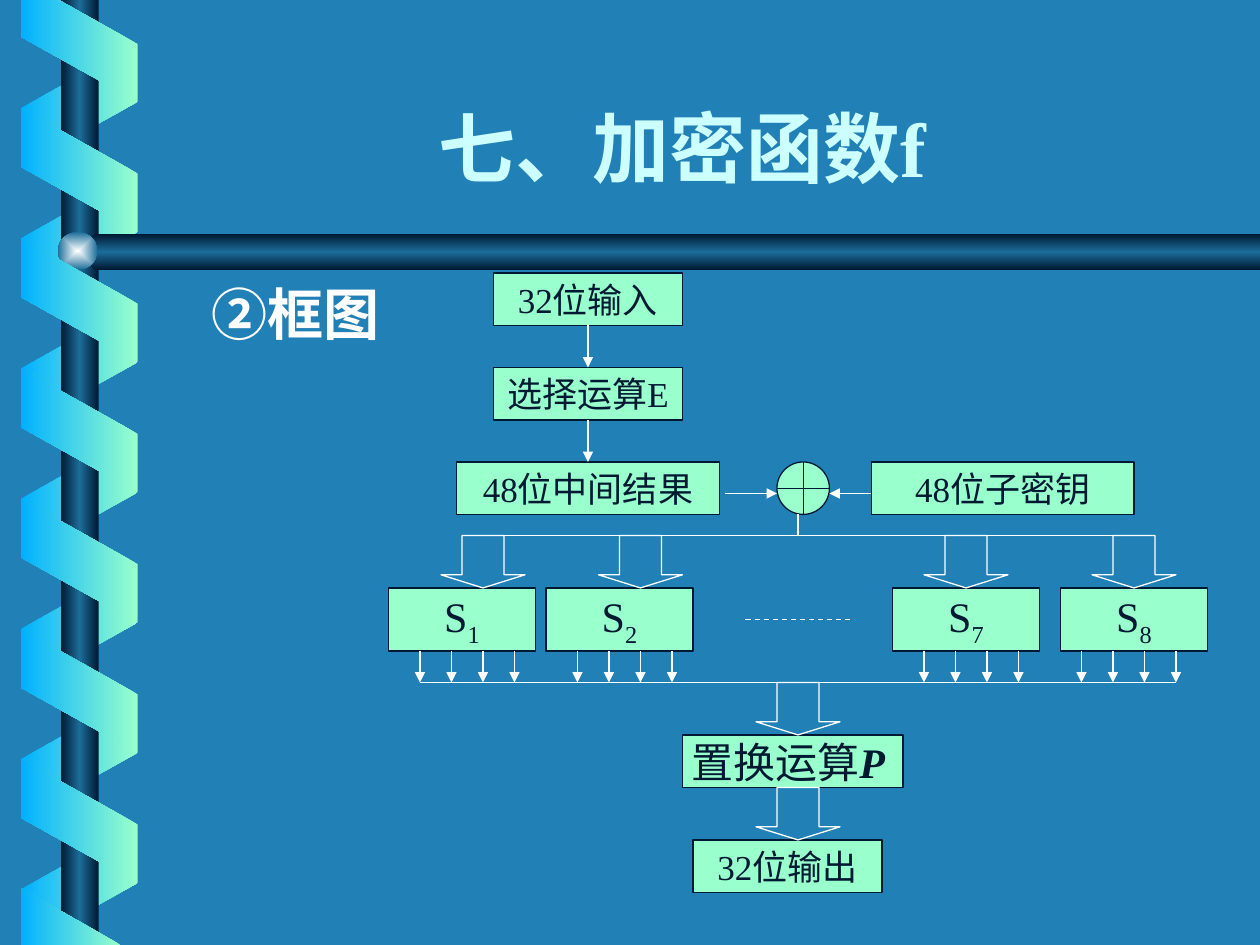
import pptx
import pptx.util
import pptx.oxml
import pptx.oxml.ns
import pptx.dml.color
import pptx.enum.dml
import pptx.enum.shapes
import pptx.enum.text

COLORS = {"ground": "2181B7", "mint": "99FFCC", "sky": "01B0FF", "navy": "001932",
          "steel": "1C6D9A", "title": "CCFFFF", "white": "FFFFFF", "shine": "FEFFFF"}
CELL = pptx.util.Inches(1) / 12  # the slide is a grid of 120 columns by 90 rows
COLUMNS, ROWS = 120, 90
SHAPE = pptx.enum.shapes.MSO_SHAPE
ALIGN = pptx.enum.text.PP_ALIGN
ANCHOR = pptx.enum.text.MSO_ANCHOR
SERIF, SANS = "Times New Roman", "Roboto Condensed"
RIBBON = ["mint", "sky"]
TUBE = ["navy", "steel", "navy"]


def cells(*counts):
    return [round(count * CELL) for count in counts]


def color(name):
    return pptx.dml.color.RGBColor.from_string(COLORS[name])


def apply(target, values):
    for name, value in values.items():
        setattr(target, name, value)


def paint(shape, fill=None, line=None):
    shape.shadow.inherit = False
    if fill:
        shape.fill.solid()
        shape.fill.fore_color.rgb = color(fill)
    else:
        shape.fill.background()
    if line:
        shape.line.color.rgb = color(line)
        shape.line.width = pptx.util.Pt(0.75)
    else:
        shape.line.fill.background()


def shade(shape, names, angle=None):
    """Fill with evenly spaced stops: linear at an angle, or from the centre."""
    paint(shape)
    stops = "".join(
        f'<a:gs pos="{100000 * i // (len(names) - 1)}"><a:srgbClr val="{COLORS[name]}"/></a:gs>'
        for i, name in enumerate(names))
    if angle is None:
        way = '<a:path path="rect"><a:fillToRect l="50000" t="50000" r="50000" b="50000"/></a:path>'
    else:
        way = f'<a:lin ang="{angle * 60000}" scaled="0"/>'
    gradient = pptx.oxml.parse_xml(
        f'<a:gradFill {pptx.oxml.ns.nsdecls("a")} rotWithShape="0">'
        f'<a:gsLst>{stops}</a:gsLst>{way}</a:gradFill>')
    props = shape._element.spPr
    props.replace(props.find(pptx.oxml.ns.qn("a:noFill")), gradient)


def outline(page, points):
    corners = [cells(*point) for point in points]
    builder = page.shapes.build_freeform(*corners[0])
    builder.add_line_segments(corners[1:], close=True)
    return builder.convert_to_shape()


def write(shape, spans, para_format, frame_format):
    """Each span is its text and a dict of font values."""
    frame = shape.text_frame
    apply(frame, frame_format)
    para = frame.paragraphs[0]
    apply(para, para_format)
    for text, values in spans:
        span = para.add_run()
        span.text = text
        font = dict(values)
        span.font.color.rgb = color(font.pop("color"))
        base = font.pop("base", None)
        apply(span.font, font)
        if base:
            span.font._element.set("baseline", str(base))


def line(page, start, end, arrow=False, dash=False):
    link = page.shapes.add_connector(pptx.enum.shapes.MSO_CONNECTOR.STRAIGHT,
                                     *cells(*start, *end))
    link.line.color.rgb = color("white")
    link.line.width = pptx.util.Pt(0.75)
    if dash:
        link.line.dash_style = pptx.enum.dml.MSO_LINE.DASH
    namespace = pptx.oxml.ns.nsdecls("a")
    if arrow:
        link.line._get_or_add_ln().append(
            pptx.oxml.parse_xml(f'<a:tailEnd {namespace} type="triangle"/>'))
    link._element.spPr.append(pptx.oxml.parse_xml(f"<a:effectLst {namespace}/>"))


def block_arrow(page, center, top):
    arrow = page.shapes.add_shape(SHAPE.DOWN_ARROW, *cells(center - 4, top, 8, 5))
    arrow.adjustments[0], arrow.adjustments[1] = 0.5, 0.25
    paint(arrow, line="white")


def node(page, box, text, size=20, tail=None):
    shape = page.shapes.add_shape(SHAPE.RECTANGLE, *cells(*box))
    paint(shape, "mint", "navy")
    font = {"size": pptx.util.Pt(size), "name": SERIF, "color": "navy"}
    spans = [(text, font)]
    if tail:
        spans.append((tail[0], {**font, **tail[1]}))
    write(shape, spans, {"alignment": ALIGN.CENTER},
          {"word_wrap": False, "vertical_anchor": ANCHOR.MIDDLE})


def spiral(page, box, front):
    """One side of the ribbon: strips alternate between back and front."""
    left, top, width, height = box
    half_turn, strip = 6.2, 11.8
    for i in range(int(front), 13, 2):
        middle = top + 4.1 + half_turn * i + strip / 2
        shape = page.shapes.add_shape(SHAPE.PARALLELOGRAM, *cells(
            left + width / 2 - strip / 2, middle - width / 2, strip, width))
        shape.adjustments[0] = 0.56
        shape.rotation = 270 if front else 90
        if not front:
            shape._element.spPr.get_or_add_xfrm().set("flipH", "1")
        shade(shape, RIBBON if front else RIBBON[::-1], 180)
    if front:  # cut ends at the slide's edges
        right, bottom = left + width, top + height
        for points in (
                [(left, top), (left, top + 3.5), (right, top + 9.7),
                 (right, top + 4.2), (left + 3.6, top)],
                [(left + 9.5, bottom), (left, bottom - 5.4), (left, bottom)]):
            shade(outline(page, points), RIBBON, 180)


def binding(page, box):
    left, top, width, height = box
    spiral(page, box, front=False)
    pole = page.shapes.add_shape(SHAPE.RECTANGLE, *cells(left + 3.8, top, 3.6, height))
    shade(pole, TUBE, 180)
    # Horizontal bar with a pointed end, and the ball on the crossing
    high, middle, low = 22.3, 24, 25.7
    bar = outline(page, [(COLUMNS, high), (9.1, high), (7.2, middle),
                         (9.1, low), (COLUMNS, low)])
    shade(bar, TUBE, 90)
    ball = page.shapes.add_shape(SHAPE.OVAL, *cells(left + 3.5, 22.1, 3.8, 3.6))
    shade(ball, ["shine", "steel"])
    spiral(page, box, front=True)


def heading(page, box, text, font, para_format, anchor):
    shape = page.shapes.add_textbox(*cells(*box))
    write(shape, [(text, {"bold": True, **font})], para_format,
          {"word_wrap": True, "vertical_anchor": anchor})
    return shape


def input_stage(page, box):
    left, top, width, _ = box
    middle = left + 19
    for row, text, wide in ((0, "32位输入", 18), (9, "选择运算E", 18), (18, "48位中间结果", 25)):
        node(page, (middle - wide / 2, top + row, wide, 5), text)
        if row:
            line(page, (middle, top + row - 4), (middle, top + row), arrow=True)
    node(page, (left + 46, top + 18, 25, 5), "48位子密钥")
    xor = page.shapes.add_shape(SHAPE.FLOWCHART_OR, *cells(left + 37, top + 18, 5, 5))
    paint(xor, "mint", "navy")
    for start, end in ((32, 37), (46, 42)):
        line(page, (left + start, top + 21), (left + end, top + 21), arrow=True)


def s_boxes(page, box):
    left, top, width, height = box
    line(page, (left + 11, top), (left + 73, top))
    line(page, (left + 39, top - 2), (left + 39, top))
    # Number, box column, block arrow centre, first of four output arrows
    for number, column, center, first in ((1, 0, 9, 3), (2, 15, 24, 18),
                                          (7, 48, 55, 51), (8, 64, 71, 66)):
        node(page, (left + column, top + 5, 14, 6), "S", 24, (str(number), {"base": -25000}))
        block_arrow(page, left + center, top)
        for i in range(4):
            column = left + first + 3 * i
            line(page, (column, top + 11), (column, top + height), arrow=True)
    line(page, (left + 34, top + 8), (left + 44, top + 8), dash=True)
    line(page, (left + 3, top + height), (left + width, top + height))


def output_stage(page, box):
    left, top, width, _ = box
    node(page, (left, top + 5, width, 5), "置换运算", 24, ("P ", {"bold": True, "italic": True}))
    node(page, (left + 1, top + 15, 18, 5), "32位输出")
    for row in (0, 10):
        block_arrow(page, left + 11, top + row)


def main():
    deck = pptx.Presentation()
    deck.slide_width, deck.slide_height = cells(COLUMNS, ROWS)
    page = deck.slides.add_slide(deck.slide_layouts[6])
    page.background.fill.solid()
    page.background.fill.fore_color.rgb = color("ground")

    binding(page, (2, 0, 11.1, ROWS))
    heading(page, (14, 8, 102, 11), "七、加密函数f",
            {"size": pptx.util.Pt(44), "name": SERIF, "color": "title"},
            {"alignment": ALIGN.CENTER}, ANCHOR.BOTTOM)
    body = heading(page, (13, 26, 107, 64), "②框图",
                   {"size": pptx.util.Pt(32), "name": SANS, "color": "white"},
                   {"space_before": pptx.util.Pt(8)}, ANCHOR.TOP)
    indent = body.text_frame.paragraphs[0]._p.get_or_add_pPr()
    for name, value in zip(("marL", "indent"), cells(9.75, -3.75)):
        indent.set(name, str(value))

    input_stage(page, (37, 26, 71, 23))
    s_boxes(page, (37, 51, 75, 14))
    output_stage(page, (65, 65, 21, 20))
    deck.save("out.pptx")


if __name__ == "__main__":
    main()
